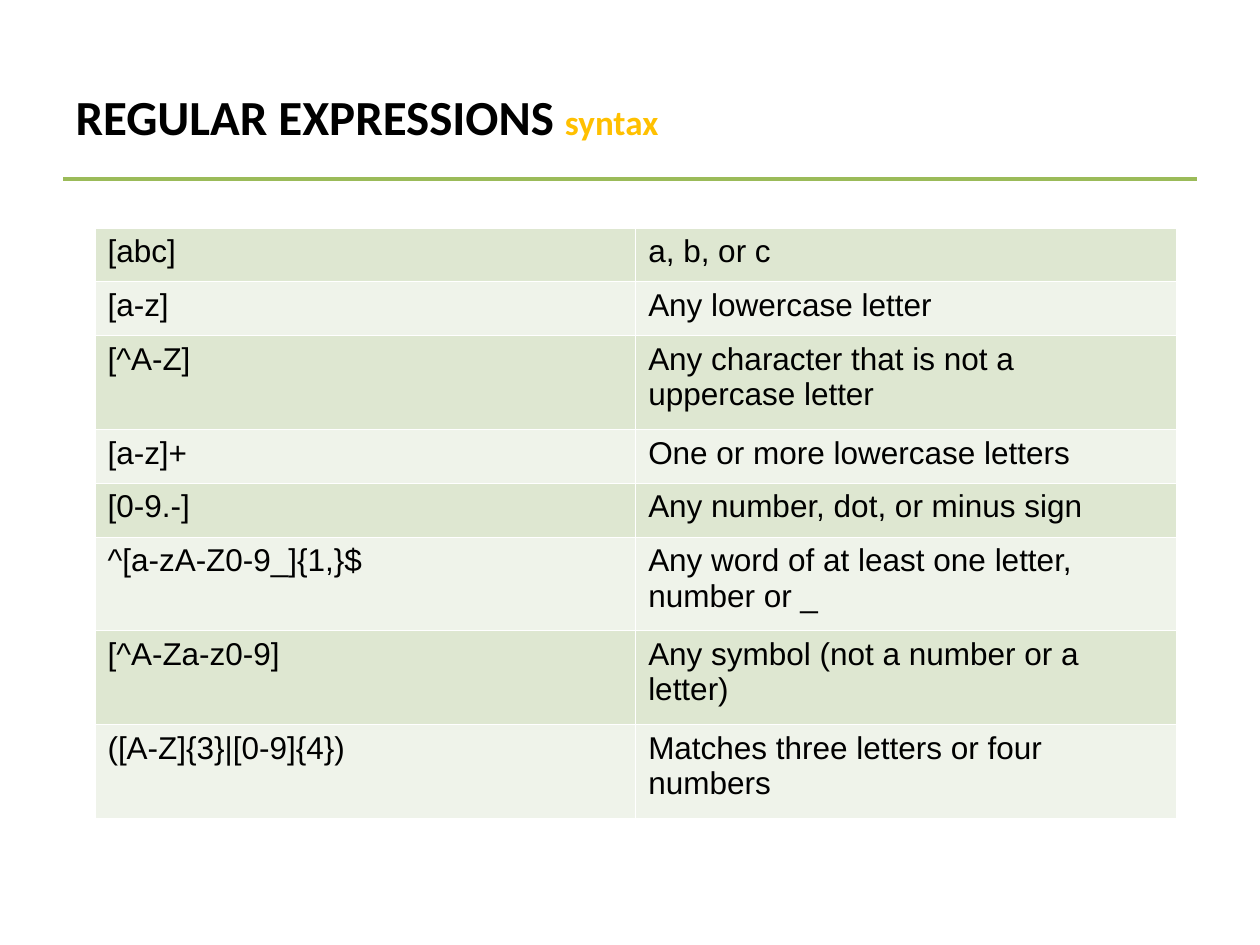
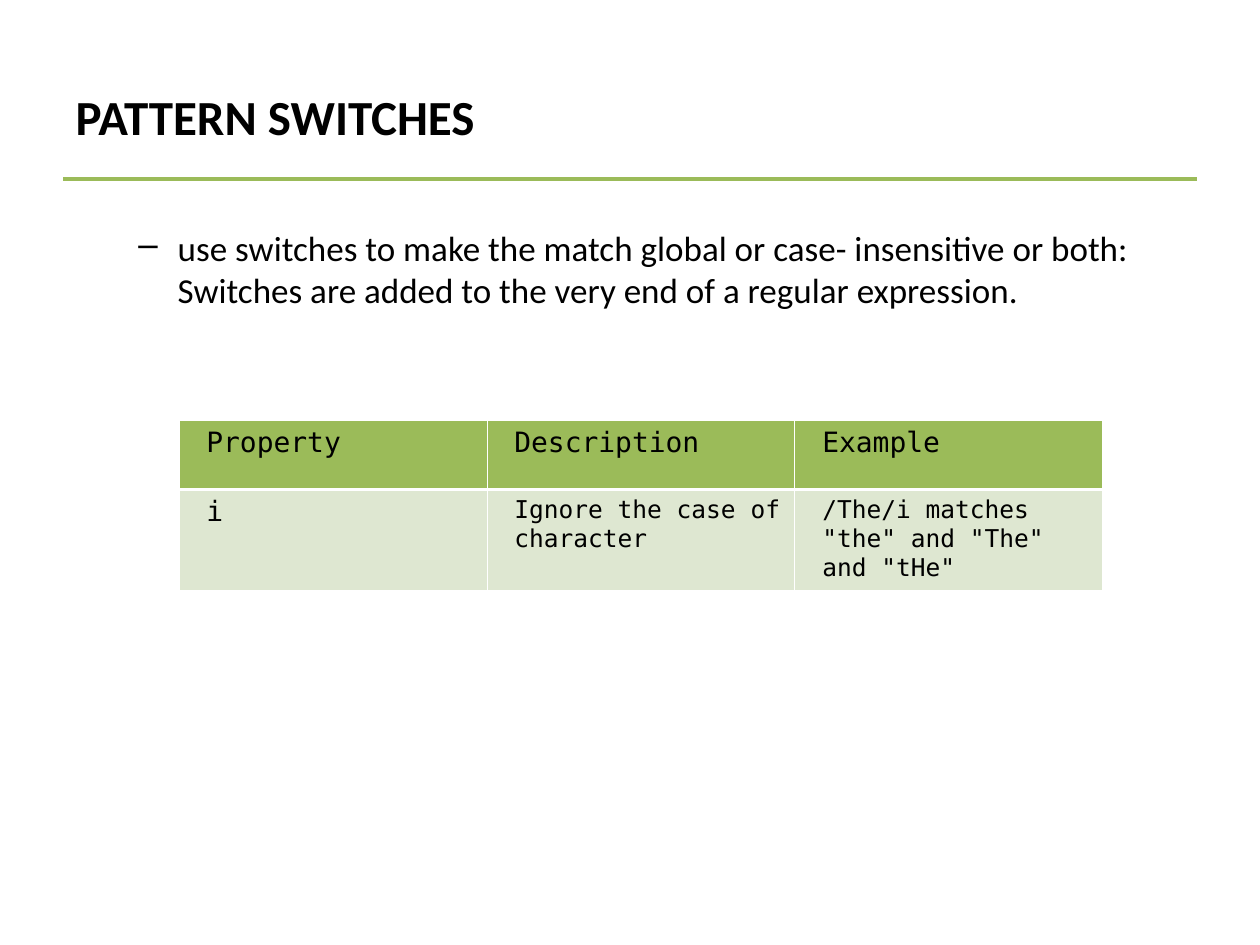
from dataclasses import dataclass

from lxml import etree
from pptx import Presentation
from pptx.dml.color import RGBColor
from pptx.enum.shapes import MSO_CONNECTOR
from pptx.enum.text import MSO_ANCHOR, PP_ALIGN
from pptx.oxml.ns import qn
from pptx.util import Pt

LEFT = PP_ALIGN.LEFT
MIDDLE = MSO_ANCHOR.MIDDLE
STRAIGHT = MSO_CONNECTOR.STRAIGHT

BLACK = RGBColor(0x00, 0x00, 0x00)
WHITE = RGBColor(0xFF, 0xFF, 0xFF)
AMBER = RGBColor(0xFF, 0xC0, 0x00)
GREEN = RGBColor(0x9B, 0xBB, 0x59)
BAND_DARK = RGBColor(0xDE, 0xE7, 0xD1)
BAND_LIGHT = RGBColor(0xEF, 0xF3, 0xEA)

HEADING_FONT = "Calibri"
TABLE_FONT = "Arial"
CODE_FONT = "DejaVu Sans Mono"

MARGIN = 36
CONTENT_WIDTH = 648
RULE_TOP = 102.25
THIN = 0.45
THICK = 1.47
TITLE_ONLY = 5


@dataclass(frozen=True)
class TitlePart:
    text: str
    size: float
    color: RGBColor


@dataclass(frozen=True)
class Row:
    height: float
    fill: RGBColor
    texts: tuple[str, ...]
    sizes: tuple[float, ...]
    top_line: float = THIN
    bottom_line: float = THIN


@dataclass(frozen=True)
class TableLook:
    left: float
    top: float
    column_width: float
    font: str
    indent: float = 0


SYNTAX = (
    ("[abc]", "a, b, or c", 1),
    ("[a-z]", "Any lowercase letter", 1),
    ("[^A-Z]", "Any character that is not a uppercase letter", 2),
    ("[a-z]+", "One or more lowercase letters", 1),
    ("[0-9.-]", "Any number, dot, or minus sign", 1),
    ("^[a-zA-Z0-9_]{1,}$", "Any word of at least one letter, number or _", 2),
    ("[^A-Za-z0-9]", "Any symbol (not a number or a letter)", 2),
    ("([A-Z]{3}|[0-9]{4})", "Matches three letters or four numbers", 2),
)
LINE_HEIGHTS = {1: 30.75, 2: 53.65}
SYNTAX_ROWS = [
    Row(LINE_HEIGHTS[lines], (BAND_DARK, BAND_LIGHT)[i % 2], (pattern, meaning), (18, 18))
    for i, (pattern, meaning, lines) in enumerate(SYNTAX)
]
SYNTAX_LOOK = TableLook(54.25, 130.25, 309, TABLE_FONT)

SWITCH_ROWS = [
    Row(39.5, GREEN, ("Property", "Description", "Example"), (16, 16, 16),
        bottom_line=THICK),
    Row(56.5, BAND_DARK,
        ("i", "Ignore the case of character", '/The/i matches "the" and "The" and "tHe"'),
        (16, 14, 14), top_line=THICK),
]
SWITCH_LOOK = TableLook(102.25, 240.25, 176, CODE_FONT, indent=8.5)

SWITCH_NOTE = ("use switches to make the match global or case- insensitive or both: "
               "Switches are added to the very end of a regular expression.")


def add_titled_slide(prs, parts: list[TitlePart]):
    s = prs.slides.add_slide(prs.slide_layouts[TITLE_ONLY])
    title = s.shapes.title
    title.left, title.top = Pt(MARGIN), Pt(21.5)
    title.width, title.height = Pt(CONTENT_WIDTH), Pt(90)
    tf = title.text_frame
    tf.vertical_anchor = MIDDLE
    p = tf.paragraphs[0]
    p.alignment = LEFT
    p.font.name = HEADING_FONT
    p.font.bold = True
    for part in parts:
        r = p.add_run()
        r.text = part.text
        r.font.size = Pt(part.size)
        r.font.color.rgb = part.color
    return s


def add_rule(s) -> None:
    rule = s.shapes.add_connector(STRAIGHT, Pt(MARGIN), Pt(RULE_TOP),
                                  Pt(MARGIN + CONTENT_WIDTH), Pt(RULE_TOP))
    rule.line.color.rgb = GREEN
    rule.line.width = Pt(2)
    etree.SubElement(rule._element.spPr, qn("a:effectLst"))


def set_borders(cell, row: Row) -> None:
    tc_pr = cell._tc.get_or_add_tcPr()
    widths = {"lnL": THIN, "lnR": THIN, "lnT": row.top_line, "lnB": row.bottom_line}
    for side, width in widths.items():
        ln = etree.SubElement(tc_pr, qn(f"a:{side}"), w=str(Pt(width)))
        fill = etree.SubElement(ln, qn("a:solidFill"))
        etree.SubElement(fill, qn("a:srgbClr"), val=str(WHITE))


def set_font(p, name: str, size: float) -> None:
    p.font.name = name
    p.font.size = Pt(size)
    p.font.color.rgb = BLACK


def add_grid(s, look: TableLook, rows: list[Row]) -> None:
    columns = len(rows[0].texts)
    frame = s.shapes.add_table(len(rows), columns, Pt(look.left), Pt(look.top),
                               Pt(look.column_width * columns),
                               Pt(sum(row.height for row in rows)))
    table = frame.table
    table.first_row = False
    table.horz_banding = False
    for column in table.columns:
        column.width = Pt(look.column_width)
    for i, row in enumerate(rows):
        table.rows[i].height = Pt(row.height)
        for j, (text, size) in enumerate(zip(row.texts, row.sizes)):
            cell = table.cell(i, j)
            set_borders(cell, row)
            cell.fill.solid()
            cell.fill.fore_color.rgb = row.fill
            cell.text = text
            p = cell.text_frame.paragraphs[0]
            p._p.get_or_add_pPr().set("marL", str(Pt(look.indent)))
            set_font(p, look.font, size)


def add_dash_note(s, text: str) -> None:
    box = s.shapes.add_textbox(Pt(MARGIN), Pt(126), Pt(CONTENT_WIDTH), Pt(356.5))
    tf = box.text_frame
    tf.word_wrap = True
    p = tf.paragraphs[0]
    p.text = text
    p.level = 1
    p_pr = p._p.get_or_add_pPr()
    p_pr.set("marL", str(Pt(58.5)))
    p_pr.set("indent", str(Pt(-22.5)))
    color = etree.SubElement(p_pr, qn("a:buClr"))
    etree.SubElement(color, qn("a:srgbClr"), val=str(BLACK))
    etree.SubElement(p_pr, qn("a:buChar"), char="–")
    set_font(p, HEADING_FONT, 20)


def main() -> None:
    prs = Presentation()
    prs.slide_width, prs.slide_height = Pt(720), Pt(540)

    s = add_titled_slide(prs, [TitlePart("REGULAR EXPRESSIONS ", 28, BLACK),
                               TitlePart("syntax", 20, AMBER)])
    add_rule(s)
    add_grid(s, SYNTAX_LOOK, SYNTAX_ROWS)

    s = add_titled_slide(prs, [TitlePart("PATTERN SWITCHES", 28, BLACK)])
    add_dash_note(s, SWITCH_NOTE)
    add_rule(s)
    add_grid(s, SWITCH_LOOK, SWITCH_ROWS)

    prs.save("out.pptx")


if __name__ == "__main__":
    main()
